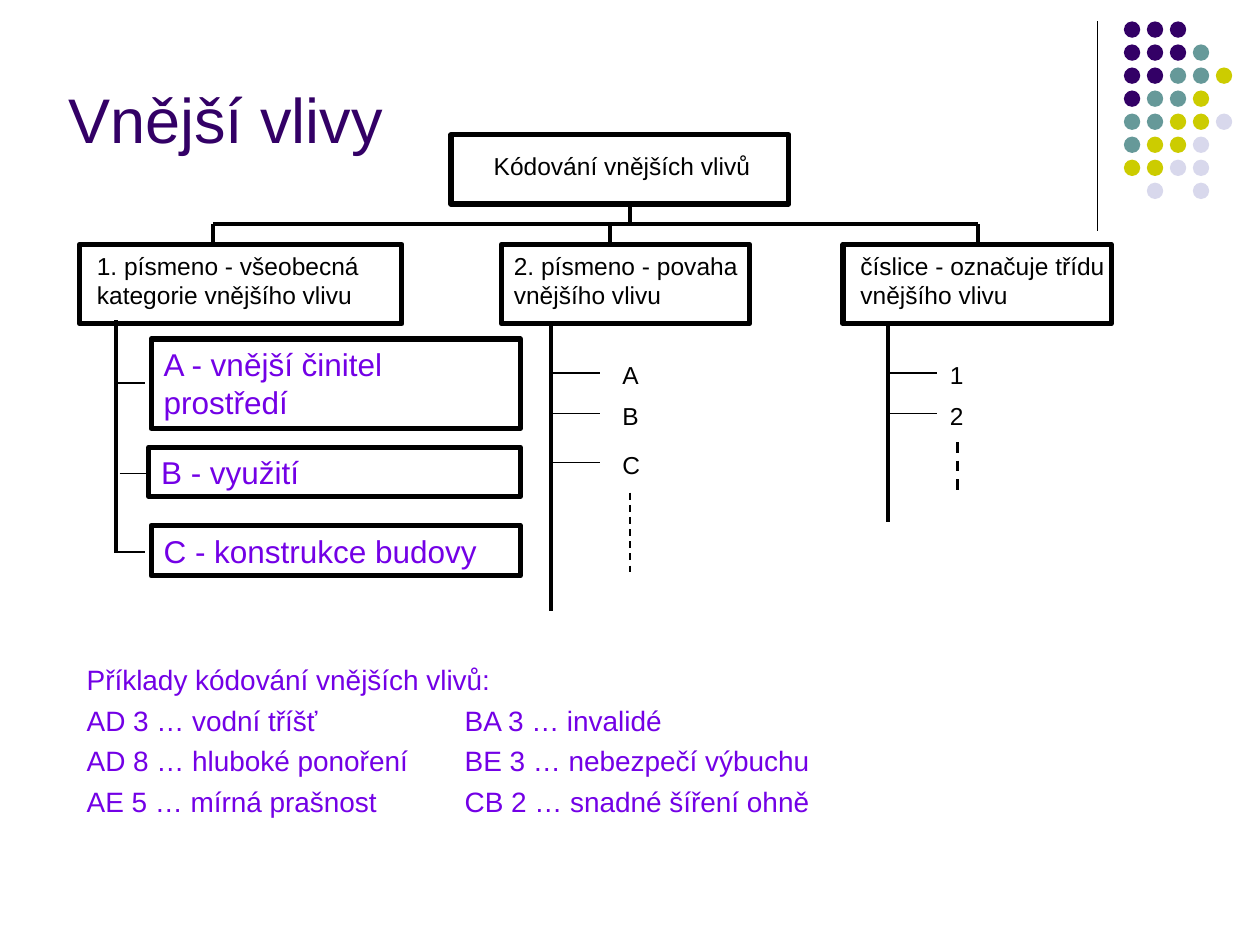
from lxml import etree
from pptx import Presentation
from pptx.dml.color import RGBColor
from pptx.enum.dml import MSO_LINE
from pptx.enum.shapes import MSO_CONNECTOR, MSO_SHAPE
from pptx.enum.text import MSO_ANCHOR, PP_ALIGN
from pptx.oxml.ns import qn
from pptx.util import Inches, Pt

STRAIGHT = MSO_CONNECTOR.STRAIGHT
RECT, OVAL = MSO_SHAPE.RECTANGLE, MSO_SHAPE.OVAL
TOP, MIDDLE, BOTTOM = MSO_ANCHOR.TOP, MSO_ANCHOR.MIDDLE, MSO_ANCHOR.BOTTOM
LEFT = PP_ALIGN.LEFT
DASH = MSO_LINE.DASH

COLORS = {
    "black": "000000",
    "purple": "330066",
    "teal": "669999",
    "olive": "CCCC00",
    "lilac": "D8D8EC",
    "violet": "7300E6",
}
DOT_COLORS = {"P": "purple", "T": "teal", "O": "olive", "L": "lilac"}
DOT_ROWS = ["PPP", "PPPT", "PPTTO", "PTTO", "TTOOL", "TOOL", "OOLL", " L L"]


def rgb(name):
    return RGBColor.from_string(COLORS[name])


def write(tf, text, size=14, color="black", anchor=TOP, gap=0, tab=None):
    tf.word_wrap = True
    tf.vertical_anchor = anchor
    for i, line in enumerate(text.split("\n")):
        p = tf.paragraphs[0] if i == 0 else tf.add_paragraph()
        p.alignment = LEFT
        if i:
            p.space_before = Pt(gap)
        if tab:
            tabs = etree.SubElement(p._p.get_or_add_pPr(), qn("a:tabLst"))
            etree.SubElement(tabs, qn("a:tab"), pos=str(Inches(tab)), algn="l")
        r = p.add_run()
        r.text = line
        r.font.name = "Arial"
        r.font.size = Pt(size)
        r.font.color.rgb = rgb(color)


class SlideBuilder:
    def __init__(self, s, font_color="violet", box_width=3):
        self.s = s
        self.font_color = font_color
        self.box_width = box_width

    def title(self, text, x, y, w, h):
        sp = self.s.shapes.title
        sp.left, sp.top, sp.width, sp.height = map(Inches, (x, y, w, h))
        write(sp.text_frame, text, size=36, color="purple", anchor=BOTTOM)

    def text(self, text, x, y, w, h, **style):
        sp = self.s.shapes.add_textbox(*map(Inches, (x, y, w, h)))
        write(sp.text_frame, text, **style)

    def box(self, x, y, w, h, text="", anchor=TOP):
        sp = self.s.shapes.add_shape(RECT, *map(Inches, (x, y, w, h)))
        sp.shadow.inherit = False
        sp.fill.background()
        sp.line.color.rgb = rgb("black")
        sp.line.width = Pt(self.box_width)
        if text:
            write(sp.text_frame, text, size=18, color=self.font_color, anchor=anchor)

    def dot(self, x, y, color):
        sp = self.s.shapes.add_shape(OVAL, *map(Inches, (x, y, 0.13, 0.13)))
        sp.shadow.inherit = False
        sp.fill.solid()
        sp.fill.fore_color.rgb = rgb(color)
        sp.line.fill.background()

    def line(self, x1, y1, x2, y2, width=2.25, dash=None):
        c = self.s.shapes.add_connector(STRAIGHT, *map(Inches, (x1, y1, x2, y2)))
        c.line.color.rgb = rgb("black")
        c.line.width = Pt(width)
        if dash:
            c.line.dash_style = dash
        etree.SubElement(c._element.spPr, qn("a:effectLst"))


def main():
    prs = Presentation()
    prs.slide_width, prs.slide_height = Inches(10), Inches(7.5)
    slide = SlideBuilder(prs.slides.add_slide(prs.slide_layouts[5]))

    slide.line(8.71, 0.17, 8.71, 1.83, width=0.75)
    for row, letters in enumerate(DOT_ROWS):
        for col, letter in enumerate(letters):
            if letter in DOT_COLORS:
                slide.dot(8.92 + col * 0.73 / 4, 0.17 + row * 1.28 / 7, DOT_COLORS[letter])

    slide.title("Vnější vlivy", 0.44, 0.58, 8.25, 0.71)

    slide.box(3.58, 1.07, 2.68, 0.55)
    slide.text("Kódování vnějších vlivů", 3.82, 1.15, 2.84, 0.33)
    slide.line(5, 1.62, 5, 1.78)
    slide.line(1.69, 1.78, 7.76, 1.78)

    branches = [
        ("1. písmeno - všeobecná kategorie vnějšího vlivu", 0.63, 2.56, 0.67, 2.68, 1.69),
        ("2. písmeno - povaha vnějšího vlivu", 3.98, 1.97, 3.98, 2.44, 4.84),
        ("číslice - označuje třídu vnějšího vlivu", 6.69, 2.13, 6.73, 2.28, 7.76),
    ]
    for text, box_x, box_w, text_x, text_w, drop_x in branches:
        slide.line(drop_x, 1.78, drop_x, 1.94)
        slide.box(box_x, 1.94, box_w, 0.63)
        slide.text(text, text_x, 1.94, text_w, 0.57)

    slide.line(0.92, 2.54, 0.92, 4.39)
    categories = [
        ("A - vnější činitel prostředí", 1.2, 2.69, 2.93, 0.71, TOP, 0.92, 3.04),
        ("B - využití", 1.18, 3.55, 2.95, 0.39, MIDDLE, 0.95, 3.76),
        ("C - konstrukce budovy", 1.2, 4.17, 2.93, 0.4, TOP, 0.92, 4.38),
    ]
    for text, x, y, w, h, anchor, tick_x, tick_y in categories:
        slide.box(x, y, w, h, text, anchor)
        slide.line(tick_x, tick_y, tick_x + 0.23, tick_y, width=0.75)

    stems = [
        (4.37, 4.85, 4.84, [("A", 2.96), ("B", 3.28), ("C", 3.67)]),
        (7.05, 4.14, 7.44, [("1", 2.96), ("2", 3.28)]),
    ]
    for x, bottom, label_x, items in stems:
        slide.line(x, 2.57, x, bottom)
        for label, y in items:
            slide.line(x, y, x + 0.39, y, width=0.75)
            slide.text(label, label_x, y - 0.15, 0.35, 0.33)
    slide.line(5, 3.91, 5, 4.54, width=1, dash=DASH)
    slide.line(7.6, 3.51, 7.6, 3.91, width=1.5, dash=DASH)

    examples = [
        "Příklady kódování vnějších vlivů:",
        "AD 3 … vodní tříšť\tBA 3 … invalidé",
        "AD 8 … hluboké ponoření\tBE 3 … nebezpečí výbuchu",
        "AE 5 … mírná prašnost\tCB 2 … snadné šíření ohně",
    ]
    slide.text("\n".join(examples), 0.59, 5.21, 6.03, 1.69,
               size=16, color="violet", gap=4, tab=3)

    prs.save("out.pptx")


if __name__ == "__main__":
    main()
